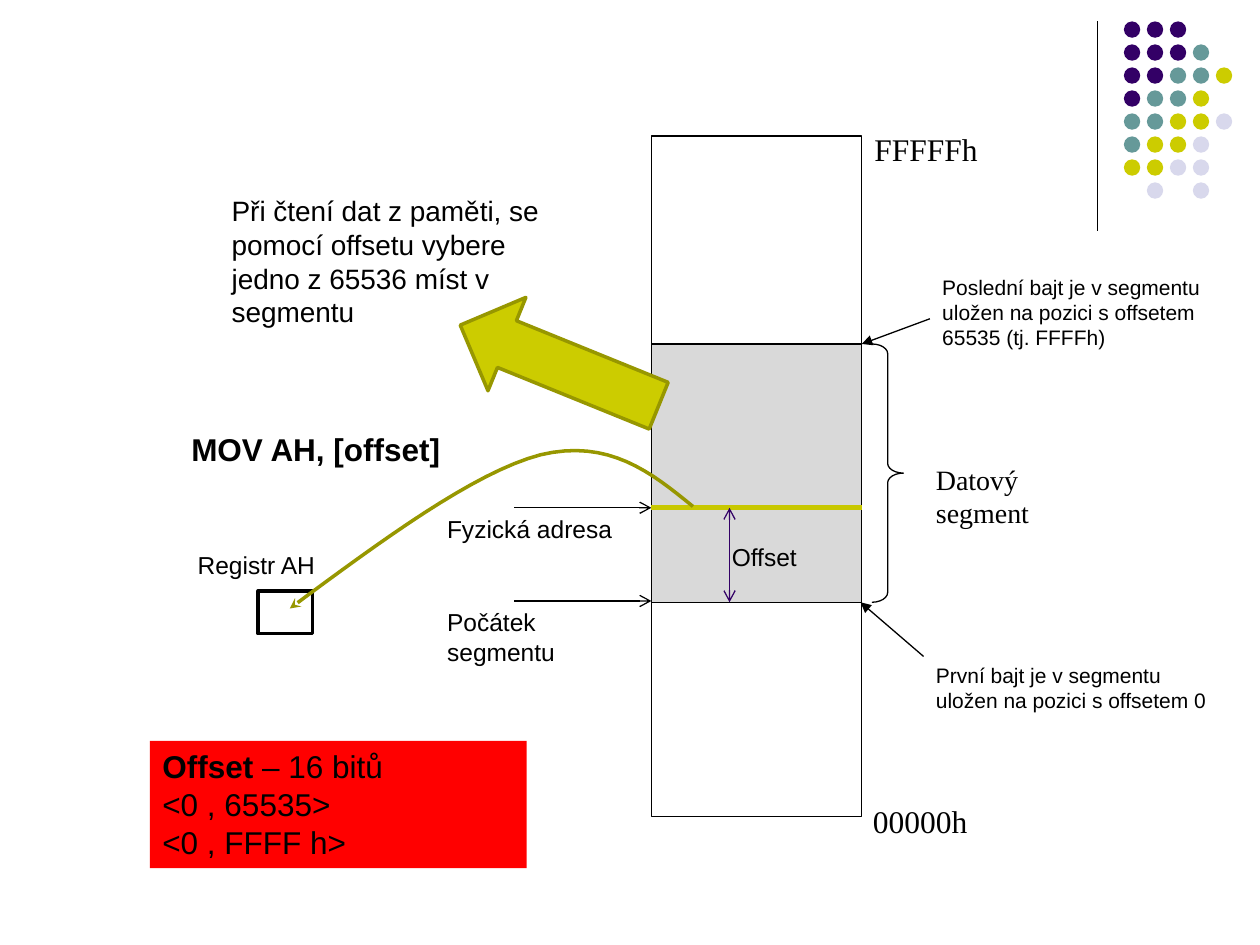
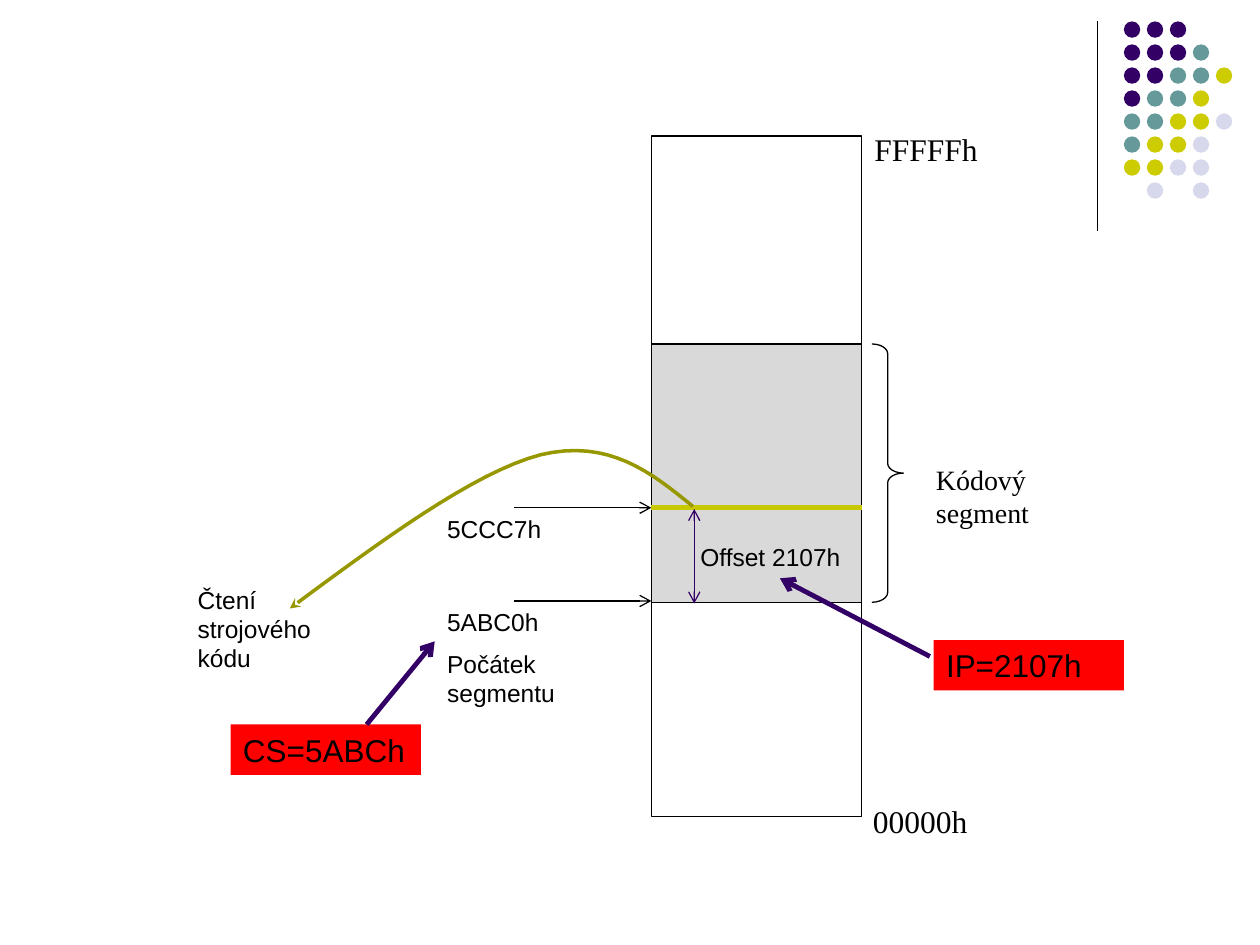
from dataclasses import dataclass
from typing import NamedTuple

from lxml import etree
from pptx import Presentation
from pptx.dml.color import RGBColor
from pptx.enum.shapes import MSO_CONNECTOR, MSO_SHAPE
from pptx.oxml.ns import qn
from pptx.util import Inches, Pt

RECT = MSO_SHAPE.RECTANGLE
OVAL = MSO_SHAPE.OVAL
BRACE = MSO_SHAPE.RIGHT_BRACE
DOWN = MSO_SHAPE.DOWN_ARROW
STRAIGHT = MSO_CONNECTOR.STRAIGHT


@dataclass(frozen=True)
class Theme:
    """Colours, faces and type sizes of the deck."""
    black: str = "000000"
    white: str = "FFFFFF"
    grey: str = "D9D9D9"
    red: str = "FF0000"
    plum: str = "330066"
    teal: str = "669999"
    lime: str = "CCCC00"
    mist: str = "D8D8EC"
    olive: str = "979700"
    gold: str = "C8C800"
    sans: str = "Arial"
    serif: str = "Times New Roman"
    large: int = 18
    mid: int = 16
    base: int = 14
    small: int = 12
    thin: float = 0.75
    bold: float = 2
    thick: float = 2.75


T = Theme()
DOTS = ("PPP", "PPPT", "PPTTY", "PTTY", "TTYYL", "TYYL", "YYLL", " L L")
INKS = {"P": T.plum, "T": T.teal, "Y": T.lime, "L": T.mist}
CURVE = ((3.2, 0.44), (2.87, 0.17), (2.53, -0.1), (1.99, 0.03),
         (1.46, 0.17), (0.73, 0.71), (0, 1.25))
STEPS = 16


class Box(NamedTuple):
    """A region in inches."""
    x: float
    y: float
    w: float
    h: float

    def area(self, x, y, w, h):
        """Return a box placed relative to this one."""
        return Box(self.x + x, self.y + y, w, h)

    def spot(self, x, y):
        """Return a point placed relative to this box."""
        return self.x + x, self.y + y

    def size(self):
        """Return the four lengths for a new shape."""
        return [Inches(v) for v in self]


def apply(item, values):
    """Set each format value on the item."""
    for name, value in values.items():
        setattr(item, name, value)


def stroke(shape, ink, width, head=None, tail=None):
    """Give a shape its line and arrowheads."""
    shape.line.color.rgb = RGBColor.from_string(ink)
    shape.line.width = Pt(width)
    line = shape.element.spPr.find(qn("a:ln"))
    for tag, kind in (("a:headEnd", head), ("a:tailEnd", tail)):
        if kind:
            etree.SubElement(line, qn(tag), type=kind)


def paint(shape, ink):
    """Fill a shape, or leave it clear."""
    if ink:
        shape.fill.solid()
        shape.fill.fore_color.rgb = RGBColor.from_string(ink)
    else:
        shape.fill.background()


def block(slide, kind, box, fill=None, ink=None, width=T.thin):
    """Add a preset shape."""
    shape = slide.shapes.add_shape(kind, *box.size())
    shape.shadow.inherit = False
    paint(shape, fill)
    if ink:
        stroke(shape, ink, width)
    else:
        shape.line.fill.background()
    return shape


def join(slide, start, end, ink=T.black, width=T.thin, head=None, tail=None):
    """Add a straight line between two points."""
    ends = [Inches(v) for v in (*start, *end)]
    line = slide.shapes.add_connector(STRAIGHT, *ends)
    stroke(line, ink, width, head, tail)
    etree.SubElement(line.element.spPr, qn("a:effectLst"))


def note(slide, box, text, size=T.base, face=T.sans, lead="", fill=None):
    """Add wrapped text with an optional bold lead."""
    shape = slide.shapes.add_textbox(*box.size())
    paint(shape, fill)
    frame = shape.text_frame
    frame.word_wrap = True
    for i, row in enumerate(text.split("\n")):
        para = frame.add_paragraph() if i else frame.paragraphs[0]
        if i and not fill:
            para.space_before = Pt(size / 2)
        for words, bold in (("" if i else lead, True), (row, False)):
            if words:
                run = para.add_run()
                run.text = words
                apply(run.font, {"name": face, "size": Pt(size), "bold": bold})
                run.font.color.rgb = RGBColor.from_string(T.black)


def rail(slide, box):
    """Draw the corner line and its grid of dots."""
    join(slide, box.spot(0, 0), box.spot(0, box.h))
    dot, left = 0.13, 0.21
    pitch = (box.w - left - dot) / 4
    for row, marks in enumerate(DOTS):
        for col, mark in enumerate(marks):
            if mark in INKS:
                place = box.area(left + col * pitch, row * pitch, dot, dot)
                block(slide, OVAL, place, INKS[mark])


def bend(a, b, c, d, t):
    """Return the point at t on a cubic curve."""
    u = 1 - t
    return tuple(u**3 * p + 3 * u * u * t * q + 3 * u * t * t * r + t**3 * s
                 for p, q, r, s in zip(a, b, c, d))


def fetch(slide, box):
    """Draw the curved arrow that leaves memory."""
    points = [bend(*CURVE[i:i + 4], step / STEPS)
              for i in (0, 3) for step in range(1, STEPS + 1)]
    start, *rest = [[Inches(v) for v in box.spot(*p)]
                    for p in (CURVE[0], *points)]
    trace = slide.shapes.build_freeform(*start)
    trace.add_line_segments(rest, close=False)
    shape = trace.convert_to_shape()
    shape.shadow.inherit = False
    paint(shape, None)
    stroke(shape, T.olive, T.bold, tail="stealth")


def store(slide, box, name, point, base, gauge):
    """Draw the memory column with its segment and labels."""
    top, depth, mark, foot = 1.65, 2.05, 2.95, 3.69
    block(slide, RECT, box, ink=T.black)
    note(slide, box.area(1.66, 5.24, 1.32, 0.4), "00000h", T.large, T.serif)
    note(slide, box.area(1.67, -0.1, 1.32, 0.4), "FFFFFh", T.large, T.serif)
    block(slide, RECT, box.area(0, top, box.w, depth), T.grey, T.black)
    brace = block(slide, BRACE, box.area(1.75, top, 0.25, depth), ink=T.black)
    brace.adjustments[0] = 0.31
    note(slide, box.area(2.16, 2.54, 1.42, 0.64), name, T.mid, T.serif)
    for y, (text, w, h) in ((mark, point), (foot, base)):
        note(slide, box.area(-1.72, y, w, h), text)
        join(slide, box.spot(-1.09, y), box.spot(0, y), tail="arrow")
    join(slide, box.spot(0, mark), box.spot(box.w, mark), T.gold, 3)
    text, x, y, left, wide = gauge
    join(slide, box.spot(x, y), box.spot(x, y + 0.75), T.plum,
         head="arrow", tail="arrow")
    note(slide, box.area(left, 3.17, wide, 0.34), text)


def read(slide, box):
    """Explain how an offset picks data for the register."""
    note(slide, box.area(0.55, 0, 2.82, 1.18),
         "Při čtení dat z paměti, se pomocí offsetu vybere "
         "jedno z 65536 míst v segmentu", T.mid)
    arrow = block(slide, DOWN, box.area(2.85, 0.56, 0.8, 1.7),
                  T.lime, T.olive, T.bold)
    arrow.rotation = 112.1
    note(slide, box.area(0.23, 1.87, 2.33, 0.71), "", T.large,
         lead="MOV AH, [offset]")
    note(slide, box.area(0.28, 2.83, 1.22, 0.34), "Registr AH")
    block(slide, RECT, box.area(0.86, 3.2, 0.43, 0.34),
          T.white, T.black, T.bold)
    note(slide, box.area(0, 4.39, 2.99, 1.01),
         " – 16 bitů\n<0 , 65535>\n<0 , FFFF h>", T.large,
         lead="Offset", fill=T.red)


def ends(slide, box):
    """Point out the first and last byte of the segment."""
    join(slide, box.spot(0.5, 3.08), box.spot(0, 2.65), tail="triangle")
    note(slide, box.area(0.5, 3.08, 2.37, 0.5),
         "První bajt je v segmentu uložen na pozici s offsetem 0", T.small)
    join(slide, box.spot(0.55, 0.4), box.spot(0.01, 0.6), tail="triangle")
    note(slide, box.area(0.55, 0, 2.37, 0.71),
         "Poslední bajt je v segmentu uložen na pozici "
         "s offsetem 65535 (tj. FFFFh)", T.small)


def code(slide, box):
    """Show the registers that locate the machine code."""
    note(slide, box.area(0, 0, 1.22, 0.81), "Čtení strojového kódu")
    for text, x, y, start, end in (
            ("CS=5ABCh", 0.36, 1.16, (1.44, 1.16), (1.98, 0.5)),
            ("IP=2107h", 5.94, 0.49, (5.91, 0.62), (4.72, 0))):
        note(slide, box.area(x, y, 1.51, 0.4), text, T.large, fill=T.red)
        join(slide, box.spot(*start), box.spot(*end), T.plum, T.thick,
             tail="arrow")


def page(deck, name, point, base, gauge):
    """Add a slide with the shared rail and memory."""
    slide = deck.slides.add_slide(deck.slide_layouts[6])
    rail(slide, Box(8.71, 0.17, 1.07, 1.66))
    store(slide, Box(5.17, 1.08, 1.67, 5.4), name, point, base, gauge)
    return slide


def main():
    """Build and save both slides."""
    deck = Presentation()
    apply(deck, {"slide_width": Inches(10), "slide_height": Inches(7.5)})
    curve = Box(2.3, 3.58, 3.2, 1.25)

    data = page(deck, "Datový segment", ("Fyzická adresa", 1.67, 0.34),
                ("Počátek segmentu", 1.22, 0.57),
                ("Offset", 0.62, 2.95, 0.54, 0.97))
    read(data, Box(1.19, 1.49, 3.65, 5.4))
    fetch(data, curve)
    ends(data, Box(6.83, 2.13, 2.92, 3.58))

    prog = page(deck, "Kódový segment", ("5CCC7h", 1.22, 0.34),
                ("5ABC0h\nPočátek segmentu", 1.22, 0.93),
                ("Offset 2107h", 0.34, 2.96, 0.29, 1.45))
    fetch(prog, curve)
    code(prog, Box(1.47, 4.59, 7.45, 1.56))
    deck.save("out.pptx")


if __name__ == "__main__":
    main()
